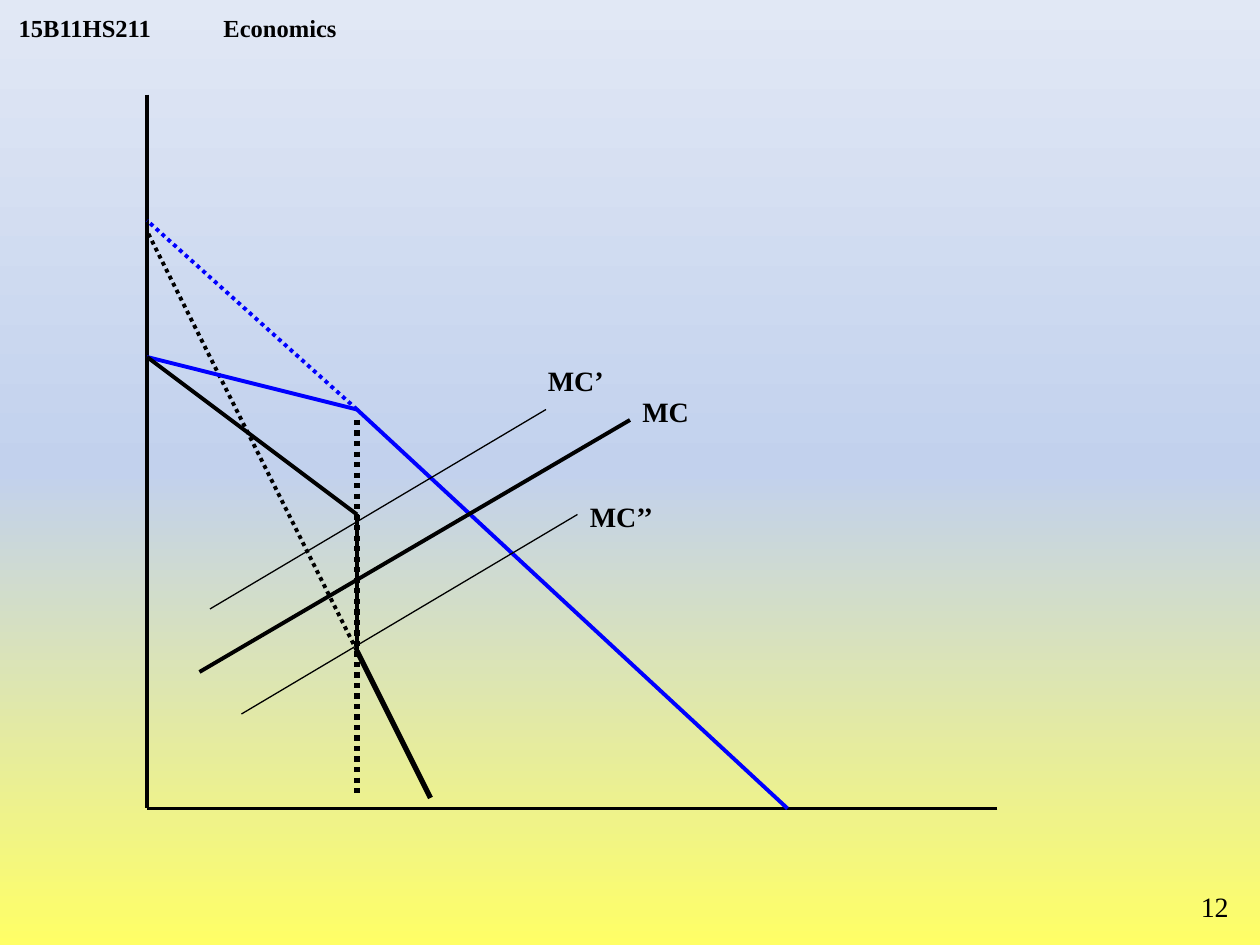
from copy import deepcopy

from lxml.etree import SubElement
from pptx import Presentation
from pptx.dml.color import RGBColor
from pptx.enum.dml import MSO_LINE_DASH_STYLE as Dash
from pptx.enum.shapes import MSO_CONNECTOR as Connector
from pptx.enum.text import MSO_ANCHOR as Anchor, MSO_AUTO_SIZE as AutoSize, PP_ALIGN as Align
from pptx.oxml.ns import qn
from pptx.util import Pt

PX = 7620  # 120 px to the inch
FONT = "Times New Roman"
COLORS = {
    "ink": "000000",
    "demand": "0000FF",
    "bottom": "FFFF66",
    "middle": "C2D1ED",
    "top": "E1E8F5",
}


def color(name):
    return RGBColor.from_string(COLORS[name])


def paint_background(page):
    fill = page.background.fill
    fill.gradient()
    fill.gradient_angle = 90
    stop_list = page.element.find(".//" + qn("a:gsLst"))
    stop_list.append(deepcopy(stop_list[-1]))
    for stop, name, position in zip(fill.gradient_stops, ("bottom", "middle", "top"), (0, 0.5, 1)):
        stop.color.rgb = color(name)
        stop.position = position


def add_text(page, box, text, size, bold=False, align=Align.LEFT, tab=None, wrap=True):
    shape = page.shapes.add_textbox(*(value * PX for value in box))
    frame = shape.text_frame
    frame.word_wrap = wrap
    frame.text = text
    para = frame.paragraphs[0]
    para.alignment = align
    if tab:
        tabs = SubElement(para._p.get_or_add_pPr(), qn("a:tabLst"))
        SubElement(tabs, qn("a:tab"), pos=str(tab * PX), algn="l")
    for span in para.runs:
        span.font.name = FONT
        span.font.size = Pt(size)
        span.font.bold = bold
        span.font.color.rgb = color("ink")
    return frame


def add_line(page, box, start, end, name="ink", width=2.25, dotted=False):
    left, top = box[:2]
    line = page.shapes.add_connector(
        Connector.STRAIGHT,
        (left + start[0]) * PX, (top + start[1]) * PX,
        (left + end[0]) * PX, (top + end[1]) * PX)
    line.line.color.rgb = color(name)
    line.line.width = Pt(width)
    if dotted:
        line.line.dash_style = Dash.ROUND_DOT  # written as sysDot
    SubElement(line._element.spPr, qn("a:effectLst"))


def add_header(page, box):
    frame = add_text(page, box, "15B11HS211\tEconomics", 14, bold=True, tab=195)
    frame.vertical_anchor = Anchor.BOTTOM
    frame.margin_top = frame.margin_bottom = 0


def add_kinked_demand(page, box):
    left, top, width, height = box
    origin = (0, height)
    kink_x = 200
    kink = (kink_x, 300)
    revenue_top, revenue_bottom = (kink_x, 400), (kink_x, 530)
    price_start = (0, 250)

    # Axes
    add_line(page, box, (0, 0), origin)
    add_line(page, box, (width, height), origin)

    # Lower demand segment and its dotted extension
    add_line(page, box, kink, (610, height), "demand")
    add_line(page, box, kink, (0, 120), "demand", dotted=True)

    # Lower marginal revenue, shifted cost, quantity at the kink
    add_line(page, box, (270, 670), revenue_bottom, width=3)
    add_line(page, box, (60, 490), (380, 300), width=0.75)
    add_line(page, box, (kink_x, 310), (kink_x, 670), width=3, dotted=True)
    add_line(page, box, revenue_bottom, (0, 130), dotted=True)

    # Upper demand segment and the gap in marginal revenue
    add_line(page, box, kink, price_start, "demand")
    add_line(page, box, revenue_top, revenue_bottom)

    # Remaining marginal cost curves
    add_line(page, box, (90, 590), (410, 400), width=0.75)
    add_line(page, box, (50, 550), (460, 310))

    # Curve labels
    labels = (("MC", 460, 280, 68), ("MC’’", 410, 380, 86), ("MC’", 370, 250, 78))
    for text, x, y, label_width in labels:
        frame = add_text(page, (left + x, top + y, label_width, 44), text, 16, bold=True, wrap=False)
        frame.auto_size = AutoSize.SHAPE_TO_FIT_TEXT

    # Upper marginal revenue
    add_line(page, box, revenue_top, price_start)


def main():
    deck = Presentation()
    deck.slide_width, deck.slide_height = 1200 * PX, 900 * PX
    page = deck.slides.add_slide(deck.slide_layouts[6])
    paint_background(page)
    add_header(page, (6, 0, 384, 40))
    add_kinked_demand(page, (140, 90, 810, 680))
    # Page number
    add_text(page, (1120, 841, 62, 48), "12", 16, align=Align.RIGHT)
    deck.save("out.pptx")


if __name__ == "__main__":
    main()
